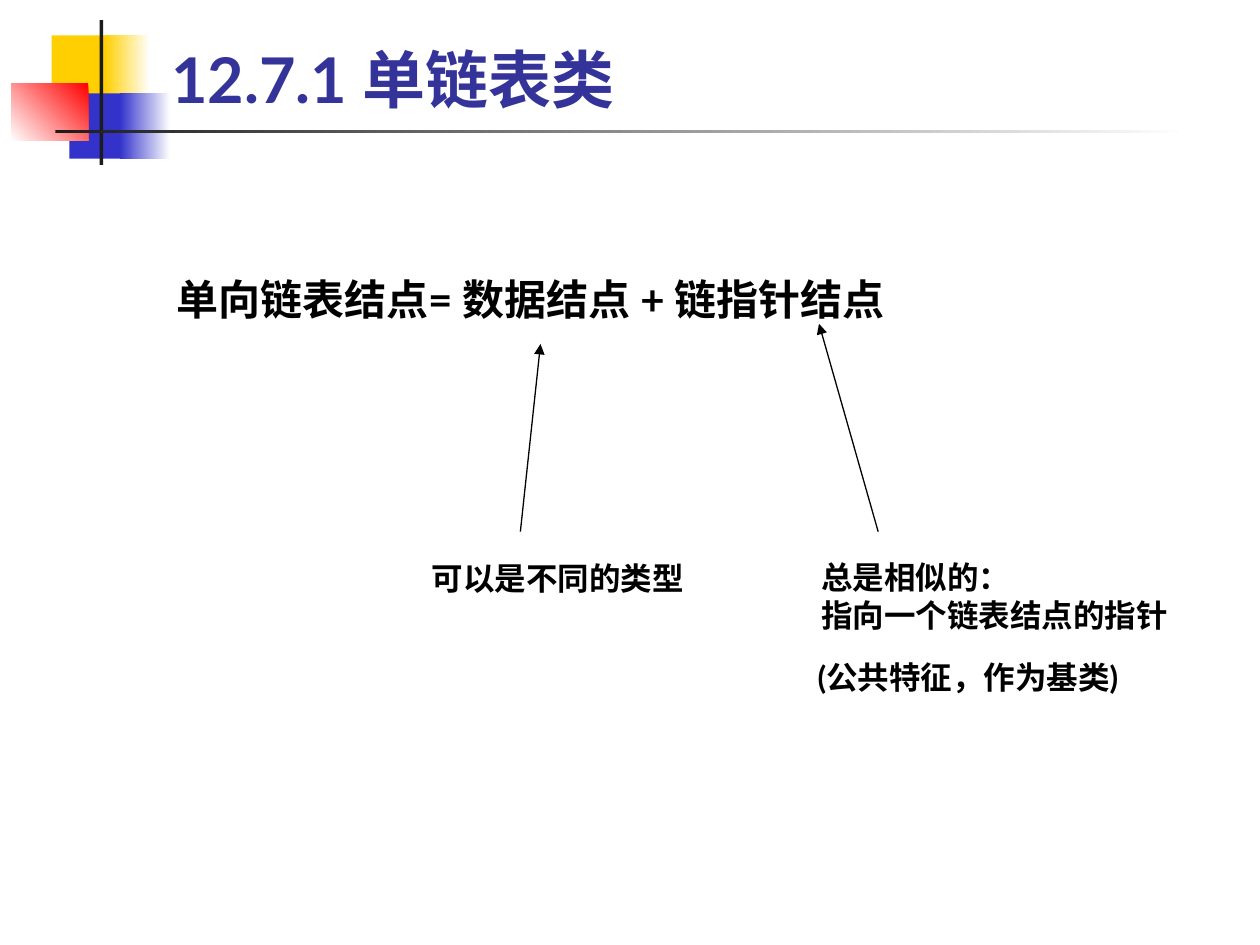
from lxml import etree
from pptx import Presentation
from pptx.dml.color import RGBColor
from pptx.enum.shapes import MSO_CONNECTOR, MSO_SHAPE
from pptx.enum.text import MSO_ANCHOR, MSO_AUTO_SIZE
from pptx.oxml.ns import qn
from pptx.util import Inches, Pt

FONT = "Lato"
BLACK = RGBColor(0x00, 0x00, 0x00)
WHITE = RGBColor(0xFF, 0xFF, 0xFF)
YELLOW = RGBColor(0xFF, 0xCF, 0x01)
BLUE = RGBColor(0x33, 0x33, 0xCC)
RED = RGBColor(0xFF, 0x00, 0x00)
CHARCOAL = RGBColor(0x1C, 0x1C, 0x1C)
TITLE_BLUE = RGBColor(0x33, 0x33, 0x99)
RECTANGLE = MSO_SHAPE.RECTANGLE
STRAIGHT = MSO_CONNECTOR.STRAIGHT
TOP = MSO_ANCHOR.TOP
BOTTOM = MSO_ANCHOR.BOTTOM
GROW = MSO_AUTO_SIZE.SHAPE_TO_FIT_TEXT
NO_FIT = MSO_AUTO_SIZE.NONE


def add_text(page, box, text, size=18, color=BLACK, anchor=TOP, wrap=False, inset_top=0.05):
    """Add bold text, one paragraph per line, in a box of left, top, width, height."""
    shape = page.shapes.add_textbox(*map(Inches, box))
    frame = shape.text_frame
    frame.word_wrap = wrap
    frame.auto_size = NO_FIT if wrap else GROW
    frame.vertical_anchor = anchor
    frame.margin_top = Inches(inset_top)
    frame.text = text
    for para in frame.paragraphs:
        for span in para.runs:
            span.font.name = FONT
            span.font.size = Pt(size)
            span.font.bold = True
            span.font.color.rgb = color


def add_block(page, box, color, fade_angle=None):
    """Add a borderless rectangle, plain or fading to white along an angle."""
    block = page.shapes.add_shape(RECTANGLE, *map(Inches, box))
    block.shadow.inherit = False
    block.line.fill.background()
    if fade_angle is None:
        block.fill.solid()
        block.fill.fore_color.rgb = color
        return
    block.fill.gradient()
    block.fill.gradient_angle = fade_angle
    for stop, stop_color in zip(block.fill.gradient_stops, (color, WHITE)):
        stop.color.rgb = stop_color


def add_arrow(page, start, end):
    """Add a thin black arrow from start to end."""
    arrow = page.shapes.add_connector(STRAIGHT, *map(Inches, (*start, *end)))
    arrow.line.color.rgb = BLACK
    arrow.line.width = Pt(0.75)
    head = etree.SubElement(arrow.line._get_or_add_ln(), qn("a:tailEnd"))
    head.set("type", "triangle")
    etree.SubElement(arrow._element.spPr, qn("a:effectLst"))


def add_ornament(page, box):
    """Draw the coloured squares and the crossed rules in the box."""
    left, top, width, height = box
    blocks = [
        (0.32, 0.12, 0.48, 0.52, YELLOW, None),
        (0.74, 0.12, 0.36, 0.52, YELLOW, 0),
        (0.46, 0.58, 0.46, 0.52, BLUE, None),
        (0.86, 0.58, 0.4, 0.52, BLUE, 0),
        (0, 0.5, 0.61, 0.46, RED, 225),
        (0.7, 0, 0.03, height, CHARCOAL, None),
        (0.35, 0.87, width - 0.35, 0.03, CHARCOAL, 0),
    ]
    for x, y, block_width, block_height, color, angle in blocks:
        add_block(page, (left + x, top + y, block_width, block_height), color, angle)


def add_node_formula(page, box):
    """Write the node formula with an arrow and a note for each of its terms."""
    left, top, width, height = box
    add_text(page, box, "单向链表结点= 数据结点 + 链指针结点", size=24, wrap=True, inset_top=1.02)
    arrow_foot = top + 3.07
    add_arrow(page, (left + 2.83, arrow_foot), (left + 2.99, top + 1.58))
    add_arrow(page, (left + 5.67, arrow_foot), (left + 5.2, top + 1.42))
    notes = [
        (2.03, 3.24, 2.2, 0.4, "可以是不同的类型"),
        (5.12, 3.23, 2.95, 0.7, "总是相似的：\n指向一个链表结点的指针"),
        (5.09, 4.02, 2.74, 0.4, "(公共特征，作为基类)"),
    ]
    for x, y, note_width, note_height, text in notes:
        add_text(page, (left + x, top + y, note_width, note_height), text)


def main():
    """Build the slide and save the deck."""
    deck = Presentation()
    deck.slide_width, deck.slide_height = Inches(10), Inches(7.5)
    page = deck.slides.add_slide(deck.slide_layouts[6])
    add_ornament(page, (0.09, 0.16, 9.35, 1.15))
    add_text(page, (1.26, 0.23, 8.52, 0.74), "12.7.1 单链表类",
             size=36, color=TITLE_BLUE, anchor=BOTTOM, wrap=True)
    add_node_formula(page, (1.3, 1.15, 8.5, 5.56))
    deck.save("out.pptx")


if __name__ == "__main__":
    main()
